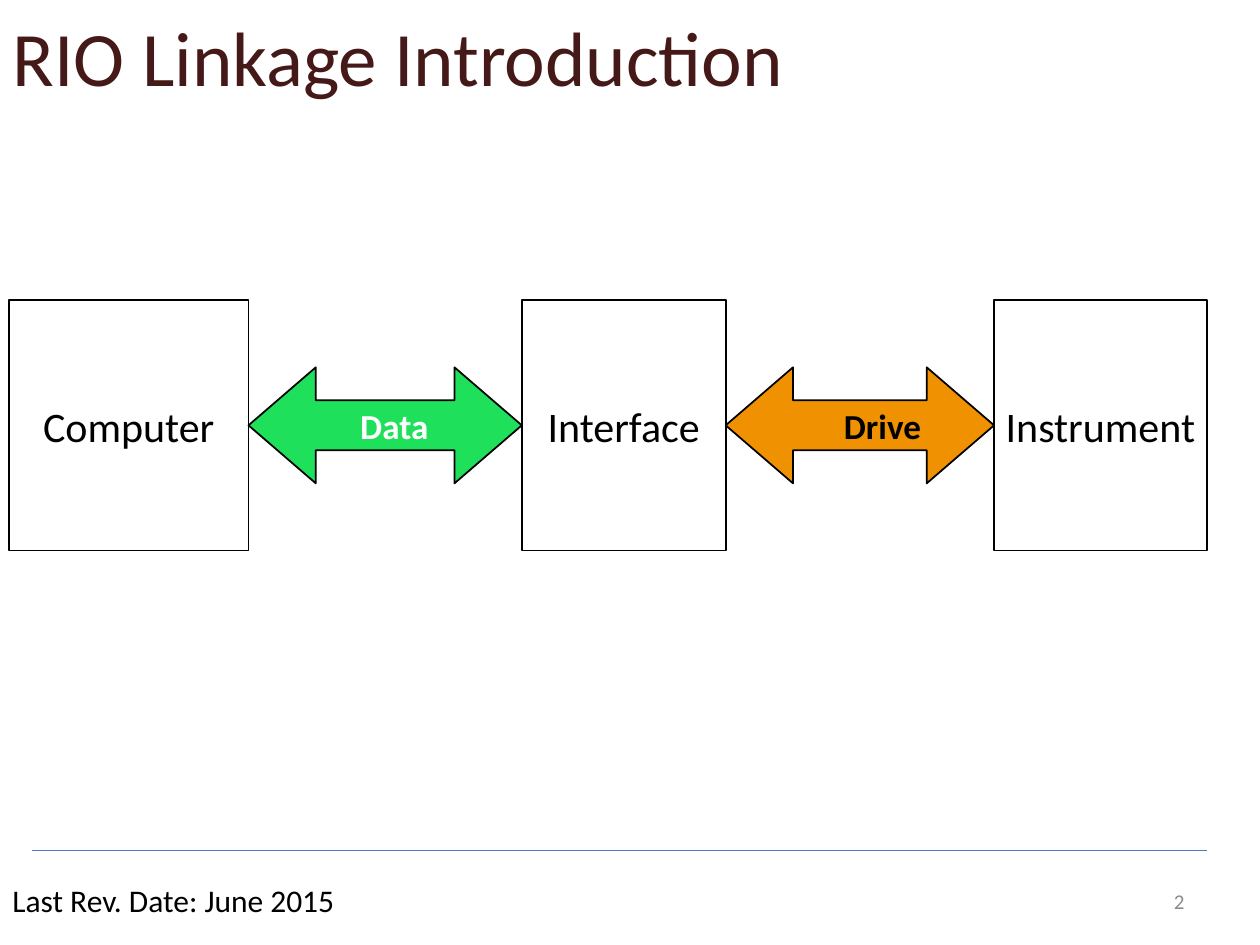
from lxml.etree import SubElement
from pptx import Presentation
from pptx.dml.color import RGBColor
from pptx.enum.shapes import MSO_CONNECTOR, MSO_SHAPE
from pptx.enum.text import MSO_ANCHOR, MSO_AUTO_SIZE, PP_ALIGN
from pptx.oxml.ns import qn
from pptx.util import Cm, Pt

TITLE = "RIO Linkage Introduction"
REVISION = "Last Rev. Date: June 2015"
PAGE_NUMBER = "2"
STATIONS = [("Computer", 0.18, 4.83), ("Interface", 10.52, 4.11), ("Instrument", 20.04, 4.29)]
LINKS = [
    {"text": "Data", "fill": "1EE05A", "color": "FFFFFF", "label": (6.83, 8.03, 2.24, 1.09)},
    {"text": "Drive", "fill": "EF9100", "color": "000000", "label": (16.56, 8.03, 2.46, 1.09)},
]
STATION_TOP, STATION_HEIGHT = 6.05, 5.05
ARROW_HEIGHT, SHAFT_RATIO, HEAD_RATIO = 2.34, 0.43, 0.58


def rgb(value):
    return RGBColor.from_string(value)


def write(shape, text, size=18, color="000000", bold=False, align=PP_ALIGN.LEFT,
          anchor=MSO_ANCHOR.TOP, wrap=True):
    frame = shape.text_frame
    frame.auto_size = MSO_AUTO_SIZE.NONE
    frame.word_wrap = wrap
    frame.vertical_anchor = anchor
    para = frame.paragraphs[0]
    para.alignment = align
    span = para.add_run()
    span.text = text
    span.font.name = "Calibri"
    span.font.size = Pt(size)
    span.font.bold = bold
    span.font.color.rgb = rgb(color)


def add_outline(page, kind, left, top, width, height, fill=None):
    shape = page.shapes.add_shape(kind, Cm(left), Cm(top), Cm(width), Cm(height))
    shape.shadow.inherit = False
    shape.line.color.rgb = rgb("000000")
    shape.line.width = Pt(1)
    if fill:
        shape.fill.solid()
        shape.fill.fore_color.rgb = rgb(fill)
    else:
        shape.fill.background()
    return shape


def add_text(page, place, text, **style):
    box = page.shapes.add_textbox(*map(Cm, place))
    write(box, text, **style)


def add_rule(page, left, right, height):
    rule = page.shapes.add_connector(
        MSO_CONNECTOR.STRAIGHT, Cm(left), Cm(height), Cm(right), Cm(height))
    rule.line.color.rgb = rgb("4B7EBC")
    rule.line.width = Pt(0.75)
    SubElement(rule._element.spPr, qn("a:effectLst"))


def main():
    deck = Presentation()
    deck.slide_width, deck.slide_height = Cm(25.4), Cm(19.05)
    page = deck.slides.add_slide(deck.slide_layouts[5])

    title = page.shapes.title
    title.left, title.top, title.width, title.height = map(Cm, (0, -0.05, 16.6, 2.34))
    write(title, TITLE, size=44, color="441918", anchor=MSO_ANCHOR.MIDDLE)

    add_text(page, (0, 17.63, 8.05, 1.02), REVISION)
    add_rule(page, 0.64, 24.33, 17.15)
    add_text(page, (18.21, 17.65, 5.92, 1.02), PAGE_NUMBER, size=12, color="8C8C8C",
             align=PP_ALIGN.RIGHT, anchor=MSO_ANCHOR.MIDDLE)

    for name, left, width in STATIONS:
        station = add_outline(page, MSO_SHAPE.RECTANGLE, left, STATION_TOP, width, STATION_HEIGHT)
        write(station, name, size=24, align=PP_ALIGN.CENTER, anchor=MSO_ANCHOR.MIDDLE, wrap=False)

    arrow_top = STATION_TOP + (STATION_HEIGHT - ARROW_HEIGHT) / 2
    for link, before, after in zip(LINKS, STATIONS, STATIONS[1:]):
        start = before[1] + before[2]
        arrow = add_outline(page, MSO_SHAPE.LEFT_RIGHT_ARROW, start, arrow_top,
                            after[1] - start, ARROW_HEIGHT, fill=link["fill"])
        arrow.adjustments[0] = SHAFT_RATIO
        arrow.adjustments[1] = HEAD_RATIO
        add_text(page, link["label"], link["text"], size=20, color=link["color"],
                 bold=True, align=PP_ALIGN.CENTER)

    deck.save("out.pptx")


if __name__ == "__main__":
    main()
